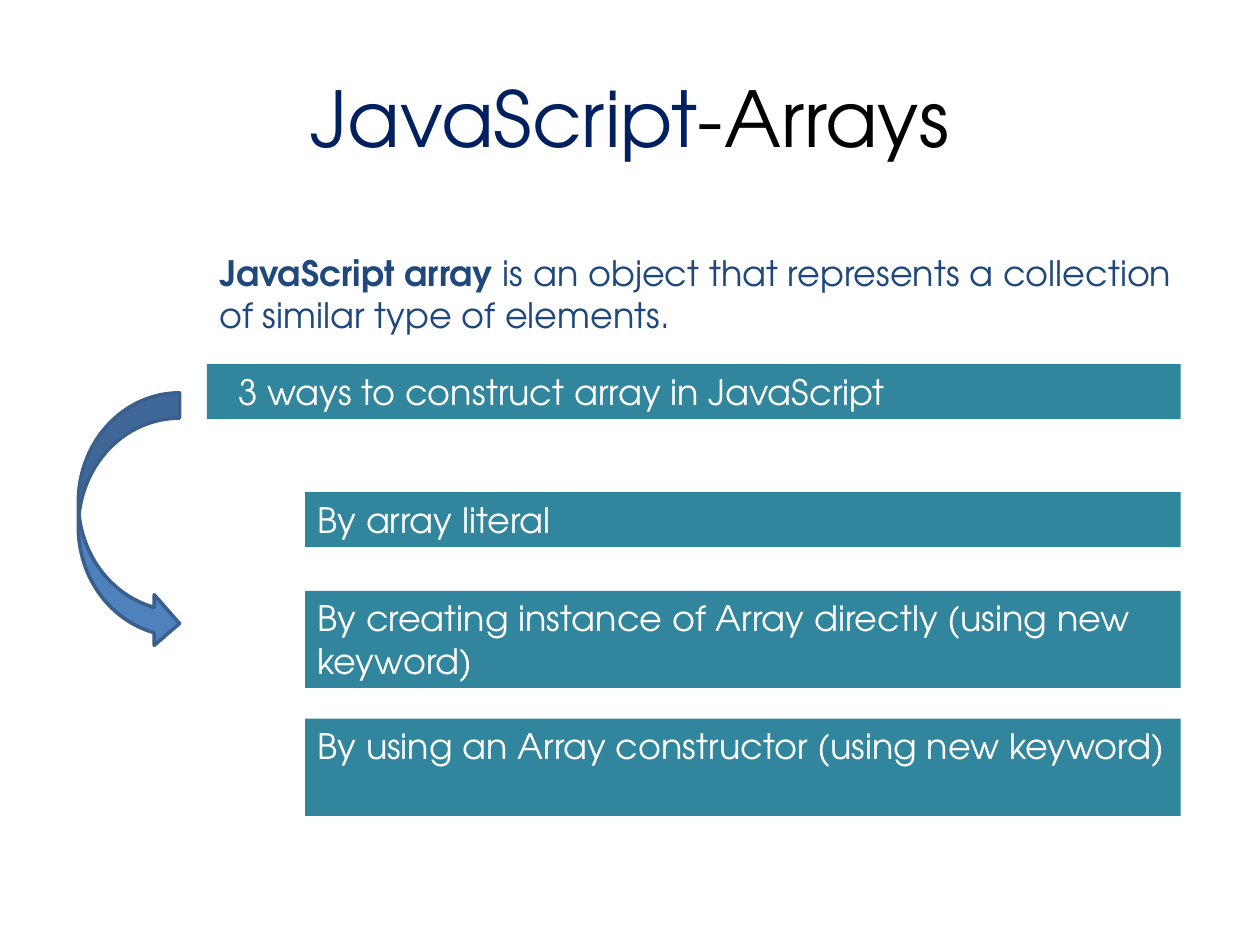
from pptx import Presentation
from pptx.dml.color import RGBColor
from pptx.enum import shapes, text
from pptx.util import Cm, Pt

FONT = "TeX Gyre Adventor"
NAVY = RGBColor(0x00, 0x20, 0x60)
BLACK = RGBColor(0x00, 0x00, 0x00)
WHITE = RGBColor(0xFF, 0xFF, 0xFF)
INK = RGBColor(0x1F, 0x49, 0x7D)
TEAL = RGBColor(0x31, 0x85, 0x9C)
BLUE = RGBColor(0x4F, 0x81, 0xBD)
EDGE = RGBColor(0x3A, 0x5F, 0x8C)

RIGHT = 23.8
LEFT = 4.17
INDENT = 6.15
WAYS = [
    ("By array literal", 9.92, 1.11),
    ("By creating instance of Array directly (using new keyword)", 11.91, 1.96),
    ("By using an Array constructor (using new keyword)", 14.49, 1.96),
]


def add_title(slide):
    title = slide.shapes.title
    title.left, title.top = Cm(1.27), Cm(0.76)
    title.width, title.height = Cm(22.86), Cm(3.18)
    para = title.text_frame.paragraphs[0]
    para.alignment = text.PP_ALIGN.CENTER
    para.font.name, para.font.size = FONT, Pt(44)
    for words, color in (("JavaScript", NAVY), ("-Arrays", BLACK)):
        run = para.add_run()
        run.text = words
        run.font.color.rgb = color


def add_intro(slide):
    box = slide.shapes.add_textbox(Cm(LEFT), Cm(4.95), Cm(20.45), Cm(2.74))
    box.text_frame.word_wrap = True
    para = box.text_frame.paragraphs[0]
    para.font.name, para.font.size = FONT, Pt(20)
    para.font.color.rgb = INK
    term = para.add_run()
    term.text = "JavaScript array"
    term.font.bold = True
    para.add_run().text = (
        " is an object that represents a collection of similar type of elements."
    )


def add_bar(slide, words, left, top, height, inset=0.25):
    """Draw a teal band that runs from left to the shared right edge."""
    bar = slide.shapes.add_shape(
        shapes.MSO_SHAPE.RECTANGLE,
        Cm(left), Cm(top), Cm(RIGHT - left), Cm(height))
    bar.shadow.inherit = False
    bar.fill.solid()
    bar.fill.fore_color.rgb = TEAL
    bar.line.fill.background()
    frame = bar.text_frame
    frame.word_wrap = True
    frame.vertical_anchor = text.MSO_ANCHOR.TOP
    frame.margin_left = Cm(inset)
    para = frame.paragraphs[0]
    para.text = words
    para.alignment = text.PP_ALIGN.LEFT
    para.font.name, para.font.size = FONT, Pt(20)
    para.font.color.rgb = WHITE


def add_arrow(slide):
    arrow = slide.shapes.add_shape(
        shapes.MSO_SHAPE.CURVED_RIGHT_ARROW,
        Cm(1.58), Cm(7.92), Cm(2.04), Cm(5.16))
    arrow.shadow.inherit = False
    arrow.fill.solid()
    arrow.fill.fore_color.rgb = BLUE
    arrow.line.color.rgb = EDGE
    arrow.line.width = Pt(2)


def main():
    deck = Presentation()
    deck.slide_width, deck.slide_height = Cm(25.4), Cm(19.05)
    slide = deck.slides.add_slide(deck.slide_layouts[5])
    add_title(slide)
    add_intro(slide)
    add_bar(slide, "3 ways to construct array in JavaScript",
            LEFT, 7.34, 1.11, inset=0.63)
    for words, top, height in WAYS:
        add_bar(slide, words, INDENT, top, height)
    add_arrow(slide)
    deck.save("out.pptx")


if __name__ == "__main__":
    main()
